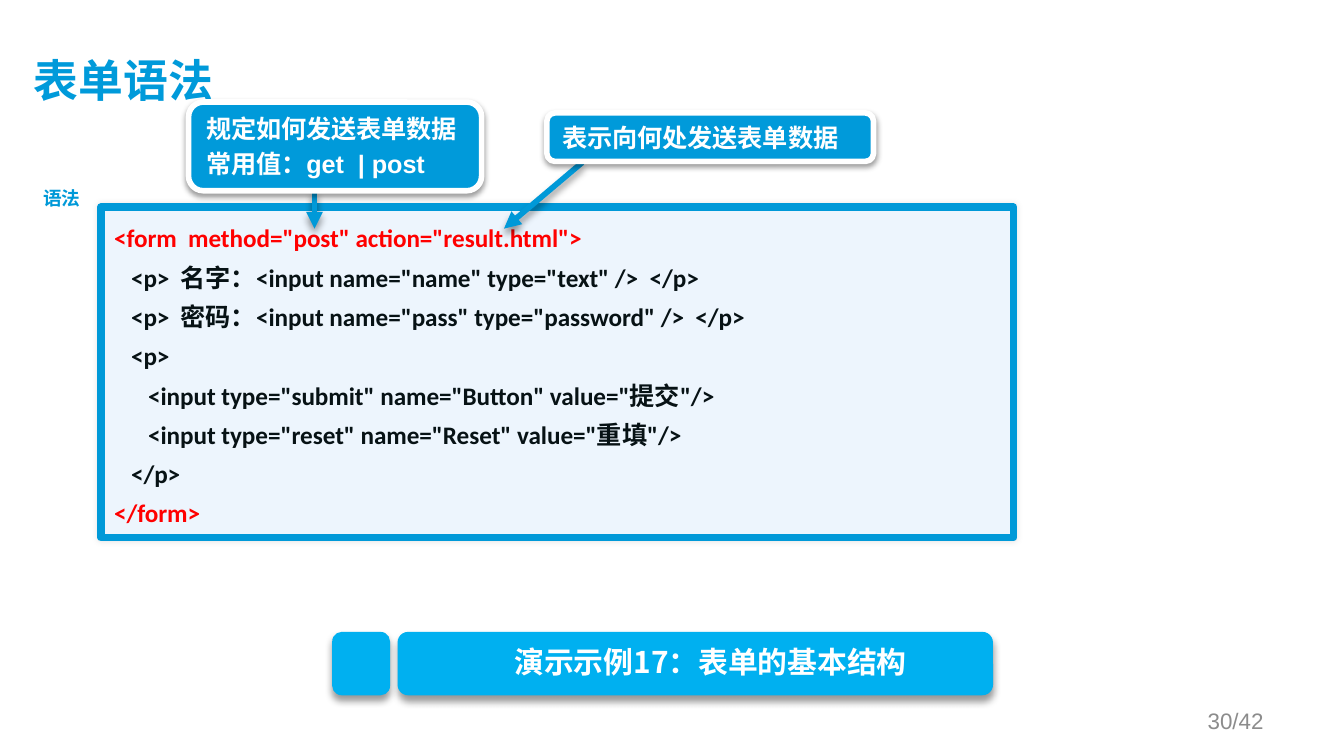
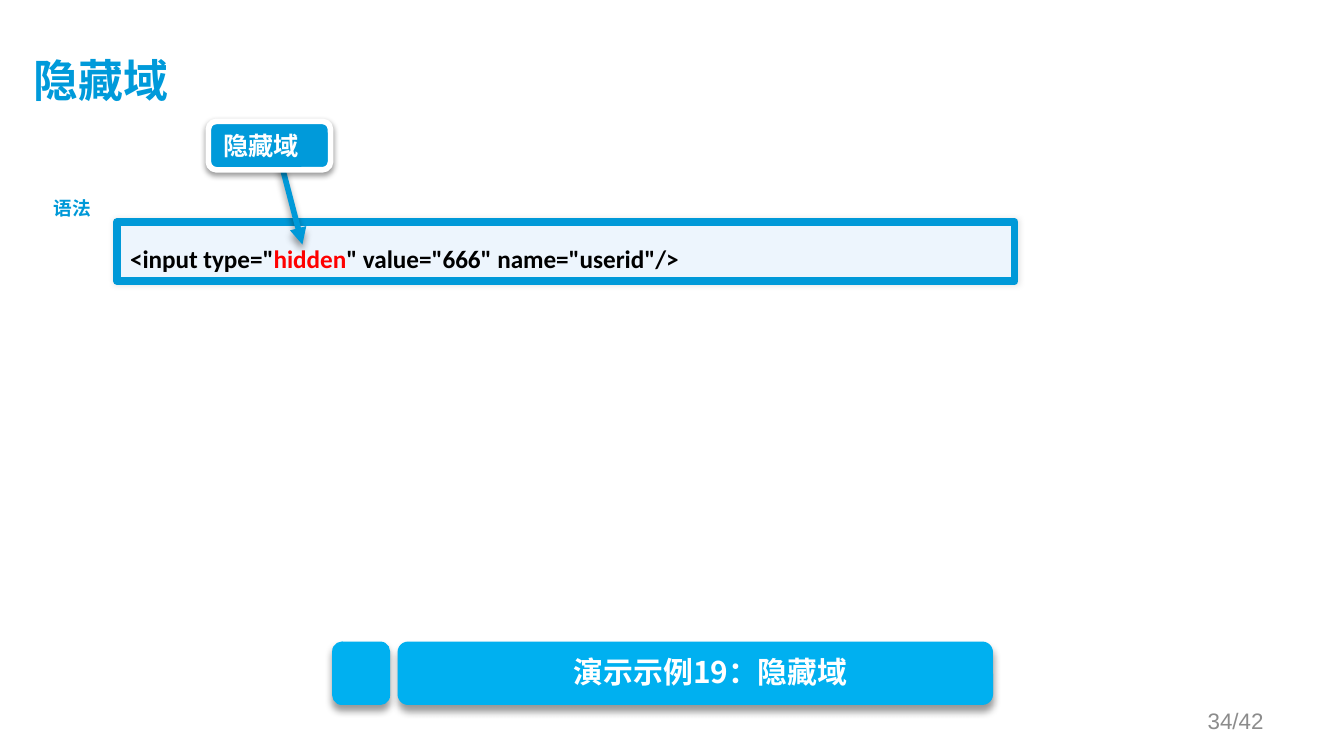
from dataclasses import dataclass
from pptx import Presentation
from pptx.dml.color import RGBColor as Rgb
from pptx.enum.shapes import MSO_CONNECTOR as Link, MSO_SHAPE as Kind
from pptx.enum.text import MSO_ANCHOR as Anchor, PP_ALIGN as Align
from pptx.oxml import parse_xml
from pptx.oxml.ns import nsdecls, qn
from pptx.util import Pt


@dataclass(frozen=True)
class Theme:
    title: str = "009ADA"
    edge: str = "0099D8"
    panel: str = "EDF5FD"
    bar: str = "00B0F0"
    white: str = "FFFFFF"
    grey: str = "8C8C8C"
    red: str = "FF0000"
    ink: str = "071215"
    black: str = "000000"
    han: str = "Noto Sans CJK SC"
    sans: str = "Arial"
    code: str = "Calibri"
    head: float = 24
    demo: float = 16
    body: float = 13.5
    page: float = 12
    tag: float = 10
    glow: tuple = (10, 3, 0, 0)
    drop: tuple = (40, 4, 3, 90)
    lift: tuple = (38, 3.1, 1.6, 90)


T = Theme()
TOTAL = 42


def shade(item, spec):
    alpha, blur, dist, angle = spec
    item._element.spPr.append(parse_xml(
        f'<a:effectLst {nsdecls("a")}><a:outerShdw blurRad="{Pt(blur)}" '
        f'dist="{Pt(dist)}" dir="{angle * 60000}" rotWithShape="0">'
        f'<a:srgbClr val="{T.black}"><a:alpha val="{alpha * 1000}"/></a:srgbClr>'
        '</a:outerShdw></a:effectLst>'))


def block(shapes, box, fill, shadow, edge=None, width=0, kind=Kind.ROUNDED_RECTANGLE, adj=0.167):
    shape = shapes.add_shape(kind, *map(Pt, box))
    shape.adjustments[0] = adj
    shape.fill.solid()
    shape.fill.fore_color.rgb = Rgb.from_string(fill)
    if edge:
        shape.line.color.rgb = Rgb.from_string(edge)
        shape.line.width = Pt(width)
    else:
        shape.line.fill.background()
    shade(shape, shadow)
    return shape


def write(shape, rows, font, size, bold=True, align=Align.LEFT, anchor=Anchor.TOP,
          wrap=True, space=None, before=0, hang=0):
    frame = shape.text_frame
    frame.word_wrap = wrap
    frame.vertical_anchor = anchor
    for i, row in enumerate(rows):
        para = frame.add_paragraph() if i else frame.paragraphs[0]
        para.alignment = align
        if space:
            para.line_spacing = space
        if i and before:
            para.space_before = Pt(before)
        if hang:
            props = para._p.get_or_add_pPr()
            props.set("marL", str(Pt(hang)))
            props.set("indent", str(-Pt(hang)))
        for text, color in row:
            run = para.add_run()
            run.text = text
            run.font.name = font
            run.font.size = Pt(size)
            run.font.bold = bold
            run.font.color.rgb = Rgb.from_string(color)
            east = run._r.get_or_add_rPr().makeelement(qn("a:ea"), {"typeface": T.han})
            run.font._rPr.find(qn("a:latin")).addnext(east)
    return frame


def label(shapes, box, text, color, font, size, **style):
    area = shapes.add_textbox(*map(Pt, box))
    return write(area, [[(text, color)]], font, size, **style)


def title(shapes, box, text):
    frame = label(shapes, box, text, T.title, T.han, T.head, anchor=Anchor.MIDDLE)
    frame.margin_left = frame.margin_top = 0


def code(shapes, box, rows, space):
    panel = block(shapes, box, T.panel, T.glow, T.edge, 4, adj=0)
    write(panel, rows, T.code, T.body, space=space)


def arrow(shapes, start, end):
    line = shapes.add_connector(Link.STRAIGHT, *map(Pt, start + end))
    line.line.color.rgb = Rgb.from_string(T.edge)
    line.line.width = Pt(3)
    line.line._get_or_add_ln().append(
        parse_xml(f'<a:tailEnd {nsdecls("a")} type="triangle"/>'))
    shade(line, T.drop)


def callout(shapes, box, rows, font):
    shape = block(shapes, box, T.title, T.lift, T.white, 3)
    write(shape, [[(row, T.white)] for row in rows], font, T.body, before=2.7, hang=22.5)


def banner(shapes, box, text):
    x, y, w, h = box
    icon, gap, inset = 31, 4, 16.5
    left = x + icon + gap
    width = w - icon - gap
    group = shapes.add_group_shape().shapes
    block(group, (x, y, icon, h), T.bar, T.drop)
    block(group, (left, y, width, h), T.bar, T.drop)
    label(group, (left + inset, y + 3, width - inset, 26.5), text,
          T.white, T.han, T.demo, align=Align.CENTER)


def lesson(deck, name, page, tag, panel, rows, space, notes, font, demo, top):
    shapes = deck.slides.add_slide(deck.slide_layouts[6]).shapes
    title(shapes, (18, 16.5, 649, 55.5), name)
    code(shapes, panel, rows, space)
    for _, _, start, end in notes:
        arrow(shapes, start, end)
    for box, lines, _, _ in notes:
        callout(shapes, box, lines, font)
    label(shapes, tag + (34.5, 19.5), "语法", T.edge, T.sans, T.tag,
          align=Align.CENTER, wrap=False)
    banner(shapes, (178, top, 354, 34), demo)
    label(shapes, (516, 375, 168, 21.5), f"{page}/{TOTAL}", T.grey, T.sans, T.page,
          bold=False, align=Align.RIGHT, anchor=Anchor.MIDDLE)


def main():
    deck = Presentation()
    deck.slide_width, deck.slide_height = Pt(720), Pt(405)
    inner = [
        '   <p>  名字：<input name="name" type="text" />  </p>',
        '   <p>  密码：<input name="pass" type="password" />  </p>',
        '   <p>',
        '      <input type="submit" name="Button" value="提交"/>',
        '      <input type="reset" name="Reset" value="重填"/>',
        '   </p>',
    ]
    form = [[('<form  method="post" action="result.html">', T.red)]]
    form += [[(row, T.ink)] for row in inner]
    form += [[("</form>", T.red)]]
    lesson(deck, "表单语法", 30, (15.8, 96.5), (54, 111, 489, 177), form, 1.3, [
        ((101, 54.7, 157, 47.5), ["规定如何发送表单数据", "常用值：get  | post"],
         (168.5, 102), (168.5, 122.5)),
        ((293, 60.5, 175, 26), ["表示向何处发送表单数据"], (312, 87), (270, 122.5)),
    ], T.sans, "演示示例17：表单的基本结构", 338.5)
    field = [[('<input type="', T.black), ("hidden", T.red),
              ('" value="666" name="userid"/>', T.black)]]
    lesson(deck, "隐藏域", 34, (21.5, 102.2), (62.6, 119, 481, 31.7), field, 1.5, [
        ((111.6, 65, 65.5, 26), ["隐藏域"], (150, 85), (162, 131)),
    ], T.code, "演示示例19：隐藏域", 343.7)
    deck.save("out.pptx")


if __name__ == "__main__":
    main()
